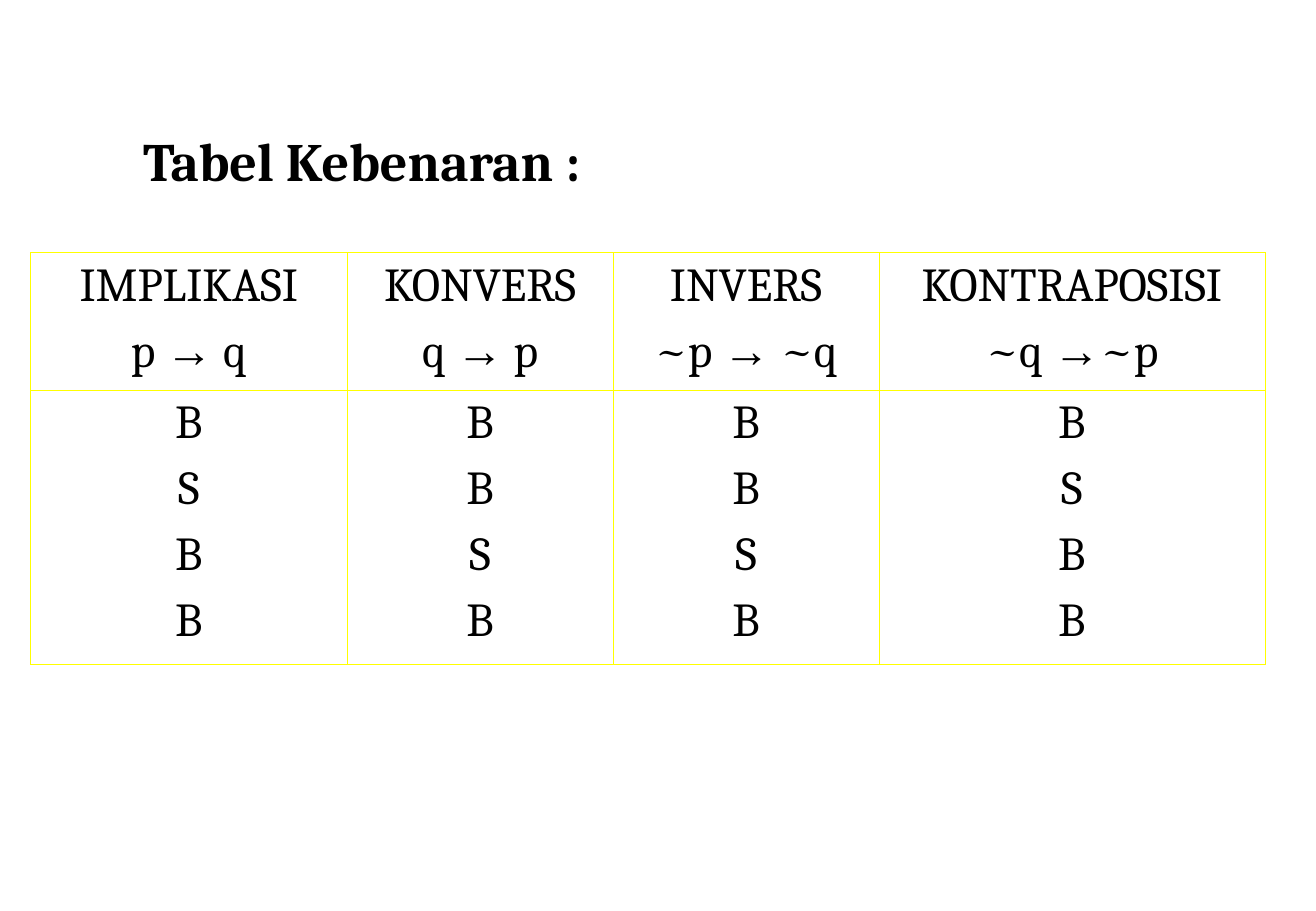
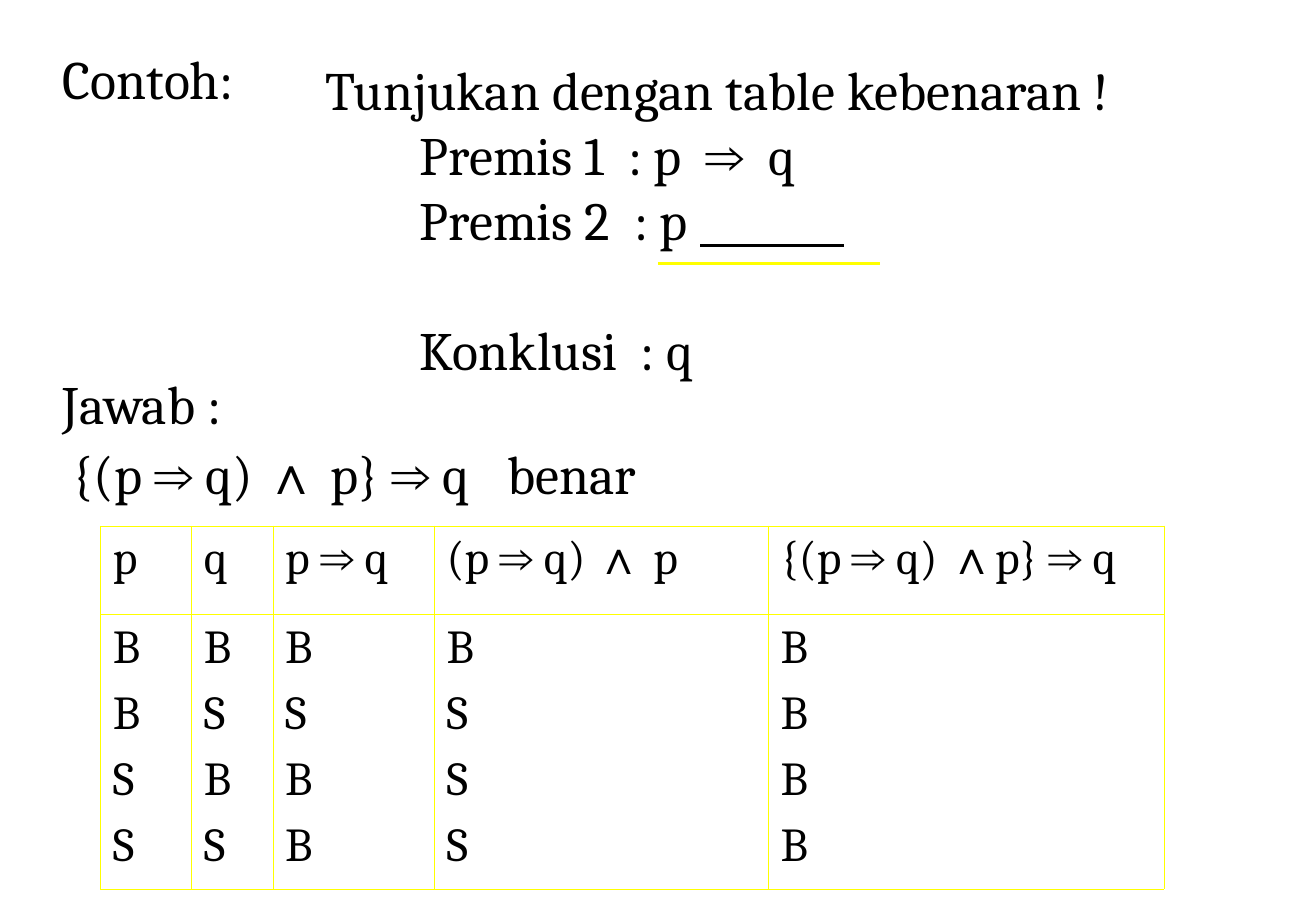
from dataclasses import dataclass
from itertools import groupby

from lxml import etree
from pptx import Presentation
from pptx import util as u
from pptx.dml import color
from pptx.enum import shapes, text
from pptx.oxml import ns


@dataclass(frozen=True)
class Theme:
    ink: str = "000000"
    rule: str = "FFFF00"
    paper: str = "FFFFFF"
    text_font: str = "Cambria"
    symbol_font: str = "Arial"
    symbols: str = "→⇒∧"
    body_size: int = 32
    table_size: int = 28
    heading_gap: int = 20
    cell_gap: int = 7
    line_gap: float = 38.4
    border: float = 0.45


class SlideBuilder:
    """Holds the theme and the current slide."""

    def __init__(self, deck, theme):
        self.deck, self.theme = deck, theme
        self.slide = None

    def new_slide(self):
        self.slide = self.deck.slides.add_slide(self.deck.slide_layouts[6])
        fill = self.slide.background.fill
        fill.solid()
        fill.fore_color.rgb = color.RGBColor.from_string(self.theme.paper)

    def fill_para(self, para, wording, size, bold=False, **layout):
        """Fill a paragraph, giving logic symbols their own font."""
        for name, value in layout.items():
            setattr(para, name, value)
        for is_symbol, letters in groupby(wording, lambda c: c in self.theme.symbols):
            span = para.add_run()
            span.text = "".join(letters)
            span.font.color.rgb = color.RGBColor.from_string(self.theme.ink)
            style = {
                "name": self.theme.symbol_font if is_symbol else self.theme.text_font,
                "size": u.Pt(size),
                "bold": bold,
            }
            for name, value in style.items():
                setattr(span.font, name, value)

    def text_box(self, left, top, width, height):
        box = self.slide.shapes.add_textbox(*map(u.Inches, (left, top, width, height)))
        frame = box.text_frame
        frame.word_wrap = True
        frame.auto_size = text.MSO_AUTO_SIZE.SHAPE_TO_FIT_TEXT
        return frame

    def heading(self, wording, left, top, width, bold=False, tab=None):
        para = self.text_box(left, top, width, 0.64).paragraphs[0]
        self.fill_para(para, wording, self.theme.body_size, bold,
                       space_before=u.Pt(self.theme.heading_gap))
        if tab:
            stops = etree.SubElement(para._p.get_or_add_pPr(), ns.qn("a:tabLst"))
            etree.SubElement(stops, ns.qn("a:tab"), pos=str(u.Inches(tab)), algn="l")

    def premises(self, title, lines, conclusion, left, top, width, height, indent):
        frame = self.text_box(left, top, width, height)
        self.fill_para(frame.paragraphs[0], title, self.theme.body_size)
        for line in [*lines, conclusion]:
            para = frame.add_paragraph()
            gap = self.theme.line_gap if line == conclusion else 0
            self.fill_para(para, line, self.theme.body_size, space_before=u.Pt(gap))
            para._p.get_or_add_pPr().set("marL", str(u.Inches(indent)))

    def rule(self, left, right, y, hue, weight):
        line = self.slide.shapes.add_connector(
            shapes.MSO_CONNECTOR.STRAIGHT,
            *map(u.Inches, (left, y, right, y)))
        line.line.color.rgb = color.RGBColor.from_string(hue)
        line.line.width = u.Pt(weight)
        etree.SubElement(line._element.spPr, ns.qn("a:effectLst"))

    def frame_cell(self, cell):
        properties = cell._tc.get_or_add_tcPr()
        for side in ("lnL", "lnR", "lnT", "lnB"):
            edge = etree.SubElement(properties, ns.qn("a:" + side),
                                    w=str(u.Pt(self.theme.border)))
            fill = etree.SubElement(edge, ns.qn("a:solidFill"))
            etree.SubElement(fill, ns.qn("a:srgbClr"), val=self.theme.rule)
        cell.fill.background()

    def truth_table(self, columns, left, top, widths, heights, align):
        """Each column is a list of heading lines and a string of truth values."""
        table = self.slide.shapes.add_table(
            len(heights), len(widths),
            *map(u.Inches, (left, top, sum(widths), sum(heights)))).table
        table.first_row = table.horz_banding = False
        for row, height in zip(table.rows, heights):
            row.height = u.Inches(height)
        for c, (column, width) in enumerate(zip(columns, widths)):
            table.columns[c].width = u.Inches(width)
            for r, lines in enumerate(column):
                cell = table.cell(r, c)
                self.frame_cell(cell)
                for i, line in enumerate(lines):
                    frame = cell.text_frame
                    para = frame.add_paragraph() if i else frame.paragraphs[0]
                    self.fill_para(para, line, self.theme.table_size, alignment=align,
                                   space_before=u.Pt(self.theme.cell_gap))


def main():
    deck = Presentation()
    deck.slide_width, deck.slide_height = u.Inches(10.84), u.Inches(7.5)
    theme = Theme()
    builder = SlideBuilder(deck, theme)

    # Truth table of the implication and its variants
    builder.new_slide()
    builder.heading("Tabel Kebenaran :", 1.08, 1, 4.58, bold=True)
    builder.truth_table(
        [(["IMPLIKASI", "p → q"], "BSBB"),
         (["KONVERS", "q → p"], "BBSB"),
         (["INVERS", "~p → ~q"], "BBSB"),
         (["KONTRAPOSISI", "~q →~p"], "BSBB")],
        0.25, 2.08, [2.61, 2.19, 2.19, 3.18], [1.13, 2.26], text.PP_ALIGN.CENTER)

    # Example: premises and conclusion
    builder.new_slide()
    builder.heading("Contoh:", 0.42, 0.33, 2.08)
    builder.premises("Tunjukan dengan table kebenaran !",
                     ["Premis 1  : p  ⇒  q", "Premis 2  : p"], "Konklusi  : q",
                     2.58, 0.42, 7.75, 3.3, indent=0.78)
    builder.rule(5.77, 6.95, 2.02, theme.ink, 1.75)

    # Example: answer and its truth table
    builder.heading("Jawab :", 0.42, 3, 2.08)
    builder.heading("{(p ⇒ q) ∧ p} ⇒ q\tbenar", 0.5, 3.58, 9.75, tab=3.58)
    builder.rule(5.42, 7.25, 2.17, theme.rule, 2.25)
    builder.truth_table(
        [(["p"], "BBSS"),
         (["q"], "BSBS"),
         (["p ⇒ q"], "BSBB"),
         (["(p ⇒ q) ∧ p"], "BSSS"),
         (["{(p ⇒ q) ∧p} ⇒ q"], "BBBB")],
        0.83, 4.33, [0.75, 0.67, 1.33, 2.75, 3.26], [0.73, 2.26], text.PP_ALIGN.LEFT)

    deck.save("out.pptx")


if __name__ == "__main__":
    main()
